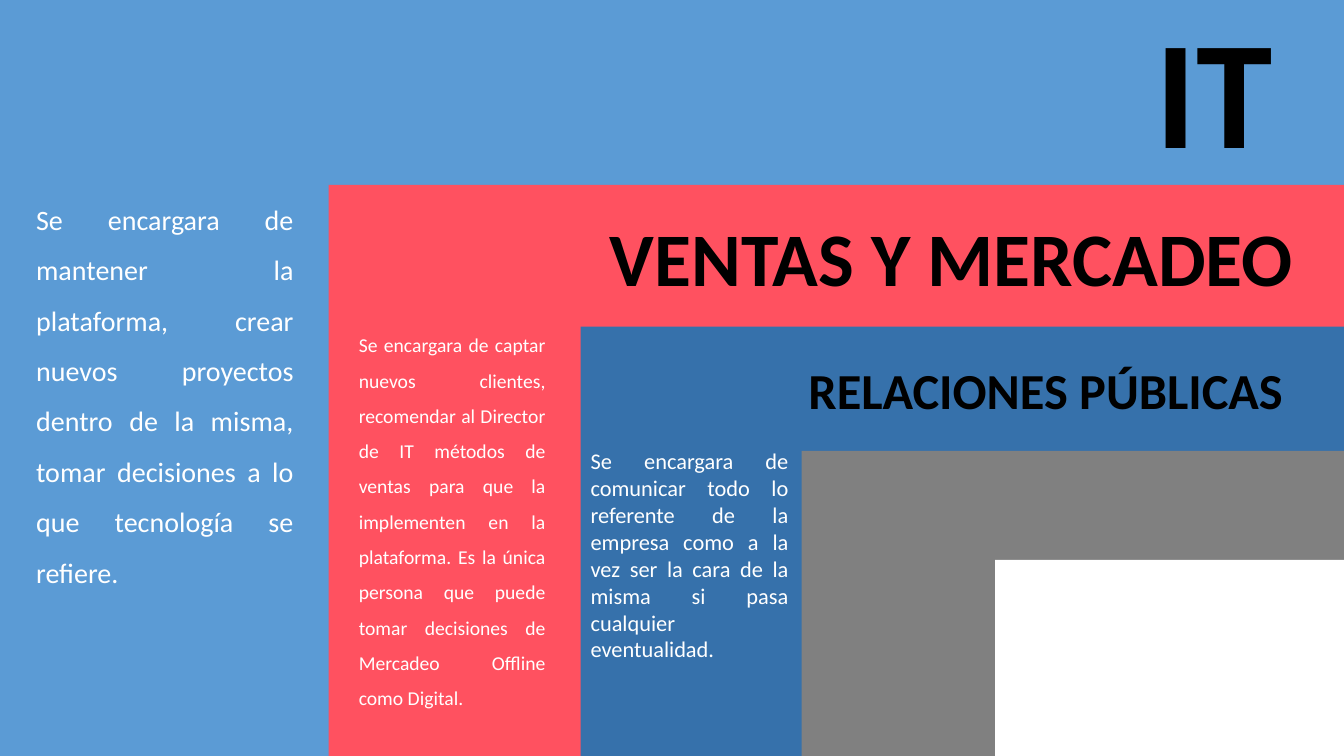
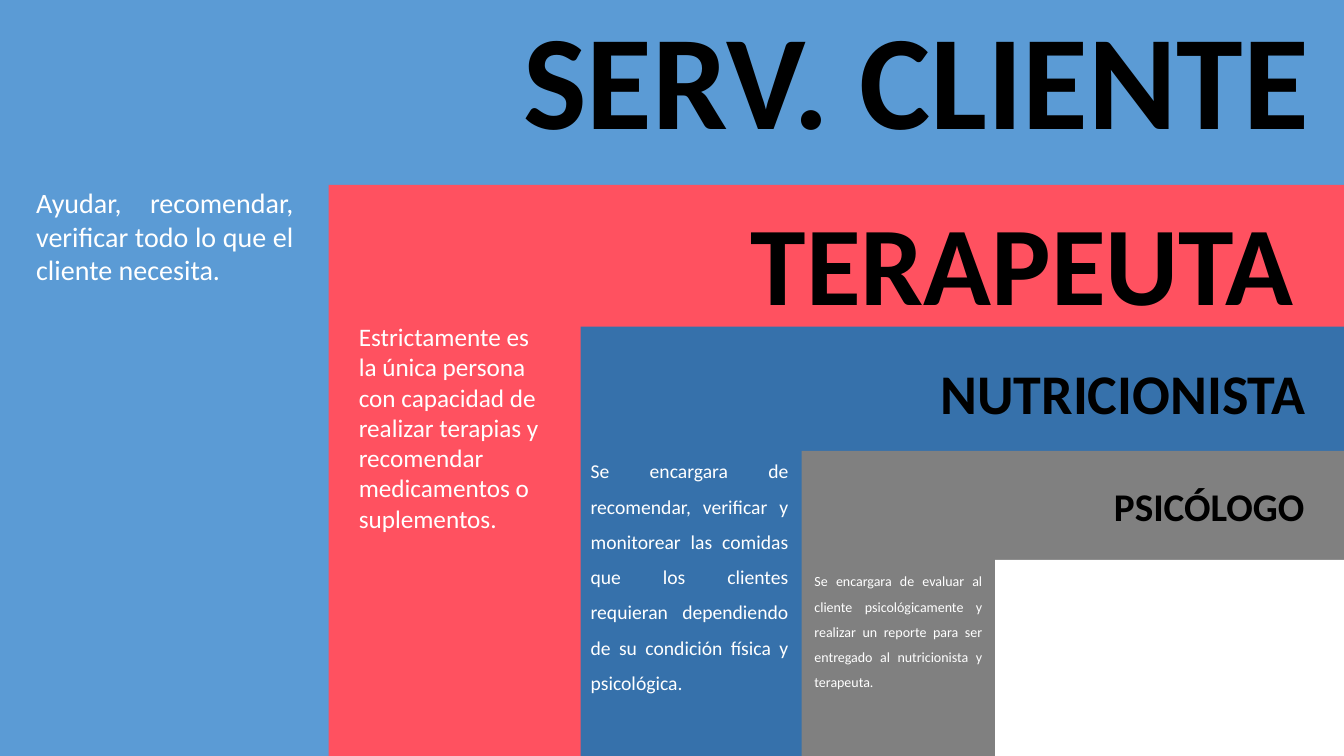
from pptx import Presentation
from pptx.dml.color import RGBColor
from pptx.enum import shapes, text
from pptx.util import Inches, Pt

COLORS = {
    "sky": "5B9BD5",
    "coral": "FF5160",
    "blue": "3671AB",
    "gray": "808080",
    "white": "FFFFFF",
    "black": "000000",
}
FONT = "Calibri"
SLIDE_W, SLIDE_H = 13.33, 7.5
# Nested panels share the bottom right corner and the 16:9 shape of the slide
PANELS = [("coral", 10.07), ("blue", 7.57), ("gray", 5.38), ("white", 3.46)]
# Left, top and width of the description at each level, outermost first
COLUMNS = [(0.26, 1.79, 2.75), (3.46, 3.14, 2.05), (5.76, 4.39, 2.16), (7.98, 5.55, 1.86)]
JUSTIFY, LEFT = text.PP_ALIGN.JUSTIFY, text.PP_ALIGN.LEFT

# Each role: heading, its size and box; description, its size, height, spacing, alignment
SLIDES = [
    [
        ("IT", 110, (11.36, -0.1, 1.63, 1.95),
         "Se encargara de mantener la plataforma, crear nuevos proyectos dentro de la misma, "
         "tomar decisiones a lo que tecnología se refiere.", 20, 4.09, 1.5, JUSTIFY),
        ("VENTAS Y MERCADEO", 54, (5.95, 2.04, 7.39, 1.01),
         "Se encargara de captar nuevos clientes, recomendar al Director de IT métodos de "
         "ventas para que la implementen en la plataforma. Es la única persona que puede "
         "tomar decisiones de Mercadeo Offline como Digital.", 14, 3.99, 1.5, JUSTIFY),
        ("RELACIONES PÚBLICAS", 36, (7.92, 3.51, 5.41, 0.71),
         "Se encargara de comunicar todo lo referente de la empresa como a la vez ser la "
         "cara de la misma si pasa cualquier eventualidad.", 16, 2.26, 1, JUSTIFY),
    ],
    [
        ("SERV. CLIENTE", 96, (5.09, -0.1, 8.25, 1.72),
         "Ayudar, recomendar, verificar todo lo que el cliente necesita.",
         20, 1.11, 1, JUSTIFY),
        ("TERAPEUTA", 80, (7.35, 1.87, 5.81, 1.45),
         "Estrictamente es la única persona con capacidad de realizar terapias y recomendar "
         "medicamentos o suplementos.", 18, 2.22, 1, LEFT),
        ("NUTRICIONISTA", 40, (9.23, 3.51, 3.93, 0.77),
         "Se encargara de recomendar, verificar y monitorear las comidas que los clientes "
         "requieran dependiendo de su condición física y psicológica.",
         14, 2.57, 1.5, JUSTIFY),
        ("PSICÓLOGO", 28, (10.95, 4.74, 2.21, 0.57),
         "Se encargara de evaluar al cliente psicológicamente y realizar un reporte para ser "
         "entregado al nutricionista y terapeuta.", 10, 1.36, 1.5, JUSTIFY),
    ],
]


def rgb(name):
    return RGBColor.from_string(COLORS[name])


def write(sp, content, size, color, bold=False, align=LEFT, spacing=1):
    tf = sp.text_frame
    tf.word_wrap = True
    tf.auto_size = text.MSO_AUTO_SIZE.NONE
    tf.vertical_anchor = text.MSO_ANCHOR.TOP
    p = tf.paragraphs[0]
    p.text = content
    p.alignment = align
    p.line_spacing = spacing
    p.font.name = FONT
    p.font.size = Pt(size)
    p.font.bold = bold
    p.font.color.rgb = rgb(color)


def add_panel(slide, color, width):
    height = width * 9 / 16
    box = (SLIDE_W - width, SLIDE_H - height, width, height)
    sp = slide.shapes.add_shape(shapes.MSO_SHAPE.RECTANGLE, *map(Inches, box))
    sp.shadow.inherit = False
    sp.fill.solid()
    sp.fill.fore_color.rgb = rgb(color)
    sp.line.fill.background()


def add_heading(slide, content, size, box, is_title):
    if is_title:
        sp = slide.shapes.title
        sp.left, sp.top, sp.width, sp.height = map(Inches, box)
    else:
        sp = slide.shapes.add_textbox(*map(Inches, box))
    write(sp, content, size, "black", bold=True)


def add_description(slide, column, content, size, height, spacing, align):
    sp = slide.shapes.add_textbox(*map(Inches, (*column, height)))
    write(sp, content, size, "white", align=align, spacing=spacing)


def add_roles_slide(prs, roles):
    slide = prs.slides.add_slide(prs.slide_layouts[5])
    slide.background.fill.solid()
    slide.background.fill.fore_color.rgb = rgb("sky")
    for color, width in PANELS:
        add_panel(slide, color, width)
    for level, (column, role) in enumerate(zip(COLUMNS, roles)):
        heading, size, box, *description = role
        add_heading(slide, heading, size, box, is_title=level == 0)
        add_description(slide, column, *description)


def main():
    prs = Presentation()
    prs.slide_width, prs.slide_height = Inches(SLIDE_W), Inches(SLIDE_H)
    for roles in SLIDES:
        add_roles_slide(prs, roles)
    prs.save("out.pptx")


if __name__ == "__main__":
    main()
